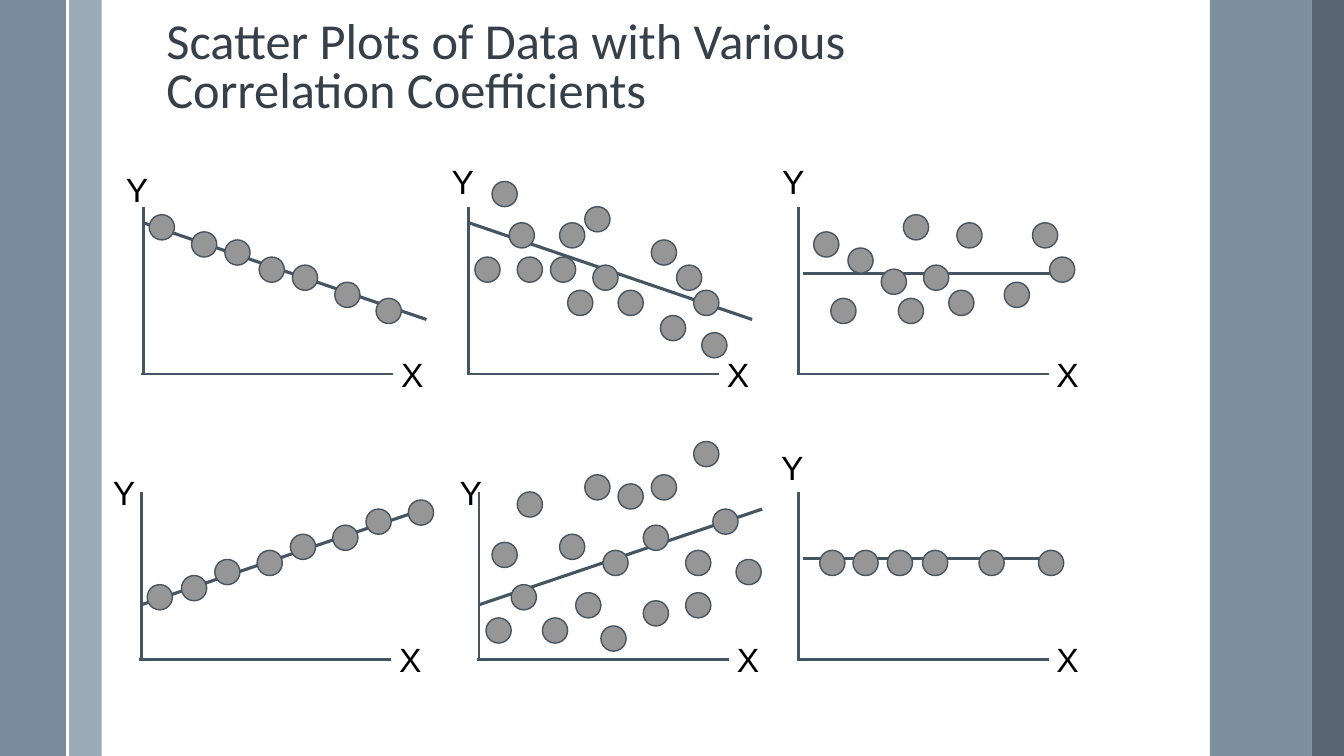
import lxml.etree
import pptx
import pptx.dml.color
import pptx.enum.shapes
import pptx.enum.text
import pptx.oxml.ns
import pptx.util
from dataclasses import dataclass

TITLE = "Scatter Plots of Data with Various Correlation Coefficients"
TITLE_BOX = (155, 13, 919, 125)
SLIDE_SIZE = (1333, 750)

BANDS = [
    (68, 33, "9BAAB7", 100),
    (0, 67, "6A8093", 90),
    (1200, 101, "6A8093", 87),
    (1301, 32, "475562", 90),
]
BAND_RULE_X = 67

FALLING = (0, 16, 281, 112, 2.25)
RISING = (0, 112, 281, 17, 2.25)
FLAT = (4, 66, 254, 66, 2)

PLOTS = [
    {"origin": (142, 205), "y_label": (115, 163), "trend": FALLING, "dots": [
        (148, 213), (190, 230), (223, 238), (257, 255), (290, 263), (332, 280), (373, 296)]},
    {"origin": (465, 205), "y_label": (438, 155), "trend": FALLING, "dots": [
        (471, 255), (488, 180), (505, 221), (513, 255), (546, 255), (555, 221), (563, 288),
        (580, 205), (588, 263), (613, 288), (646, 238), (655, 313), (671, 263), (688, 288),
        (696, 330)]},
    {"origin": (792, 205), "y_label": (766, 155), "trend": FLAT, "dots": [
        (807, 230), (824, 296), (841, 246), (874, 267), (891, 296), (896, 213), (916, 263),
        (941, 288), (949, 221), (996, 280), (1024, 221), (1041, 255)]},
    {"origin": (140, 488), "y_label": (102, 463), "trend": RISING, "dots": [
        (146, 580), (180, 571), (213, 555), (255, 546), (288, 530), (330, 521), (363, 505),
        (405, 496)]},
    {"origin": (475, 488), "y_label": (446, 463), "trend": RISING, "dots": [
        (482, 613), (488, 538), (507, 580), (513, 488), (538, 613), (555, 530), (571, 588),
        (580, 471), (596, 621), (598, 546), (613, 480), (638, 521), (638, 596), (646, 471),
        (680, 546), (680, 588), (688, 438), (707, 505), (730, 555)]},
    {"origin": (792, 488), "y_label": (765, 438), "trend": FLAT, "dots": [
        (813, 546), (846, 546), (880, 546), (915, 546), (971, 546), (1030, 546)]},
]

AXIS_HEIGHT = 166
AXIS_WIDTH = 250
AXIS_OVERHANG = 2
X_LABEL_OFFSET = (246, -25)
LABEL_SIZE = (42, 50)
DOT_SIZE = 25


@dataclass(frozen=True)
class Theme:
    line: str = "465562"
    dot: str = "969696"
    title: str = "35404A"
    label: str = "000000"
    rule: str = "FFFFFF"
    title_font: str = "Calibri"
    label_font: str = "Arial"
    title_points: int = 36
    label_points: int = 24
    axis_points: float = 2
    dot_points: float = 1
    rule_points: float = 1.5


THEME = Theme()
EMU_PER_PX = 9144


def px(*lengths):
    return [pptx.util.Emu(length * EMU_PER_PX) for length in lengths]


def rgb(value):
    return pptx.dml.color.RGBColor.from_string(value)


def style_font(font, name, points, color):
    font.name = name
    font.size = pptx.util.Pt(points)
    font.color.rgb = rgb(color)


def add_line(slide, start, end, points, color=THEME.line):
    line = slide.shapes.add_connector(
        pptx.enum.shapes.MSO_CONNECTOR.STRAIGHT, *px(*start, *end))
    line.line.color.rgb = rgb(color)
    line.line.width = pptx.util.Pt(points)
    lxml.etree.SubElement(line._element.spPr, pptx.oxml.ns.qn("a:effectLst"))


def add_filled(slide, kind, box, color):
    shape = slide.shapes.add_shape(kind, *px(*box))
    shape.shadow.inherit = False
    shape.fill.solid()
    shape.fill.fore_color.rgb = rgb(color)
    return shape


def add_bands(slide):
    for left, width, color, opacity in BANDS:
        band = add_filled(slide, pptx.enum.shapes.MSO_SHAPE.RECTANGLE,
                          (left, 0, width, SLIDE_SIZE[1]), color)
        band.line.fill.background()
        if opacity < 100:
            fill_color = band._element.spPr.find(".//" + pptx.oxml.ns.qn("a:srgbClr"))
            alpha = lxml.etree.SubElement(fill_color, pptx.oxml.ns.qn("a:alpha"))
            alpha.set("val", str(opacity * 1000))
    add_line(slide, (BAND_RULE_X, 0), (BAND_RULE_X, SLIDE_SIZE[1]),
             THEME.rule_points, THEME.rule)


def add_title(slide):
    title = slide.shapes.title
    title.left, title.top, title.width, title.height = px(*TITLE_BOX)
    frame = title.text_frame
    frame.text = TITLE
    frame.word_wrap = True
    frame.auto_size = pptx.enum.text.MSO_AUTO_SIZE.NONE
    frame.vertical_anchor = pptx.enum.text.MSO_ANCHOR.TOP
    frame.margin_top = px(8)[0]
    paragraph = frame.paragraphs[0]
    paragraph.alignment = pptx.enum.text.PP_ALIGN.LEFT
    paragraph.line_spacing = 0.8
    style_font(paragraph.font, THEME.title_font, THEME.title_points, THEME.title)


def add_label(slide, text, position):
    frame = slide.shapes.add_textbox(*px(*position, *LABEL_SIZE)).text_frame
    frame.word_wrap = False
    frame.auto_size = pptx.enum.text.MSO_AUTO_SIZE.SHAPE_TO_FIT_TEXT
    frame.text = text
    style_font(frame.paragraphs[0].font, THEME.label_font, THEME.label_points, THEME.label)


def add_plot(slide, plot):
    left, top = plot["origin"]
    bottom = top + AXIS_HEIGHT
    axis_start = left - AXIS_OVERHANG
    add_line(slide, (left, top), (left, bottom), THEME.axis_points)
    add_line(slide, (axis_start, bottom), (axis_start + AXIS_WIDTH, bottom), THEME.axis_points)
    x1, y1, x2, y2, points = plot["trend"]
    add_line(slide, (left + x1, top + y1), (left + x2, top + y2), points)
    for position in plot["dots"]:
        dot = add_filled(slide, pptx.enum.shapes.MSO_SHAPE.OVAL,
                         (*position, DOT_SIZE, DOT_SIZE), THEME.dot)
        dot.line.color.rgb = rgb(THEME.line)
        dot.line.width = pptx.util.Pt(THEME.dot_points)
    add_label(slide, "Y", plot["y_label"])
    add_label(slide, "X", (left + X_LABEL_OFFSET[0], bottom + X_LABEL_OFFSET[1]))


def main():
    presentation = pptx.Presentation()
    presentation.slide_width, presentation.slide_height = px(*SLIDE_SIZE)
    slide = presentation.slides.add_slide(presentation.slide_layouts[5])
    add_bands(slide)
    add_title(slide)
    for plot in PLOTS:
        add_plot(slide, plot)
    presentation.save("out.pptx")


if __name__ == "__main__":
    main()
